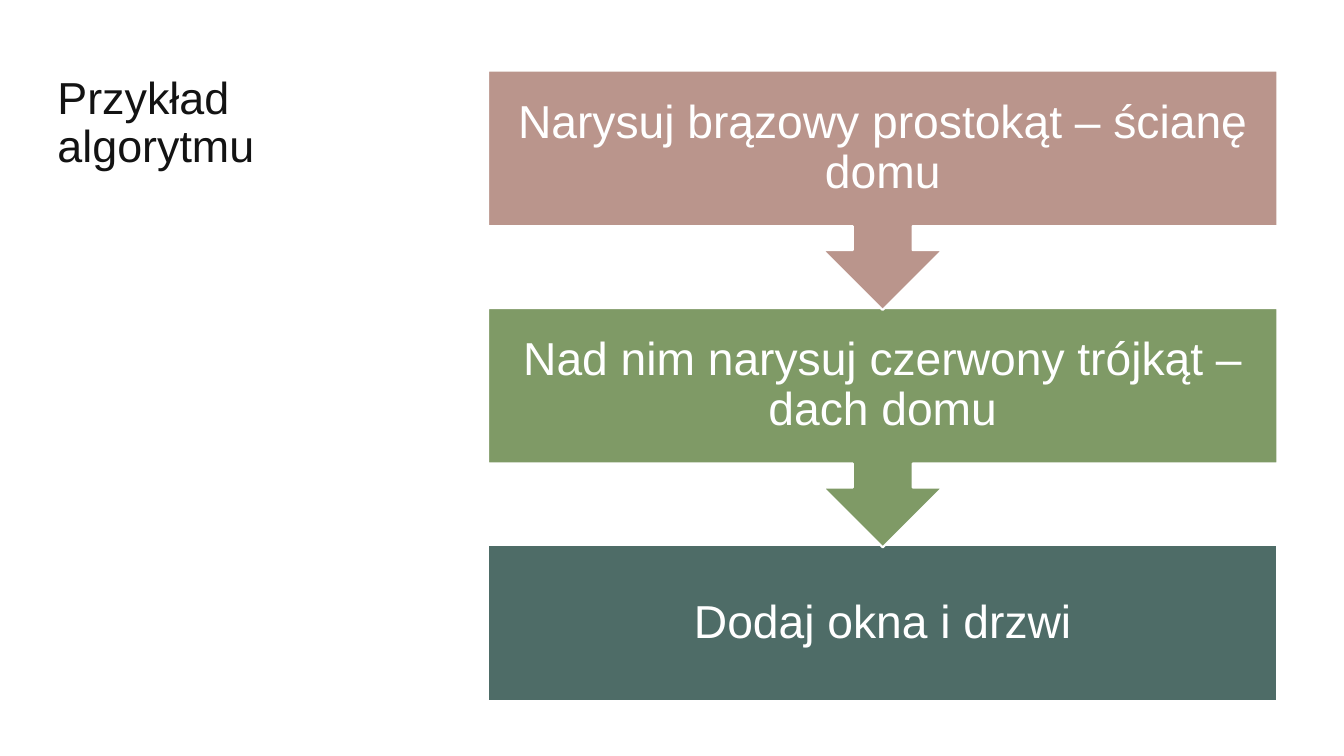
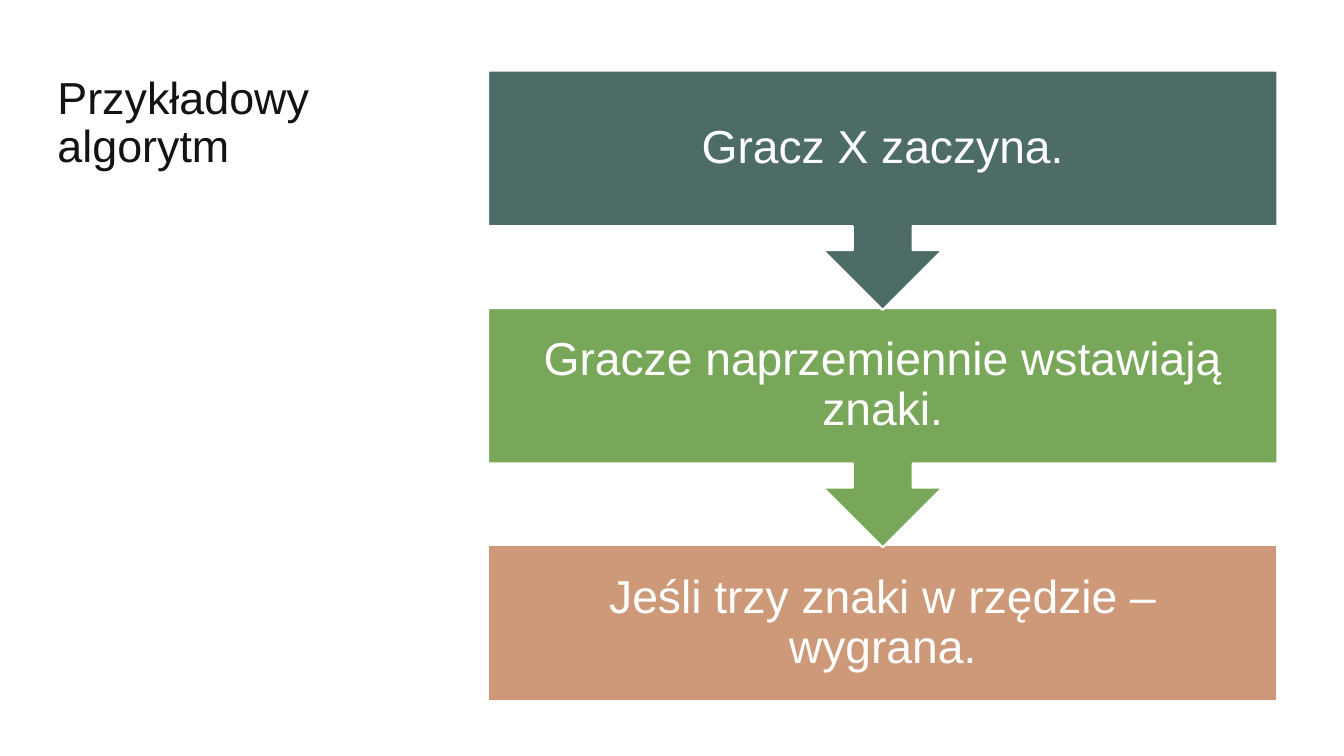
from pptx import Presentation
from pptx.dml.color import RGBColor
from pptx.enum.shapes import MSO_SHAPE
from pptx.enum.text import MSO_ANCHOR, MSO_AUTO_SIZE, PP_ALIGN
from pptx.util import Inches, Pt

FONT = "Arial"
INK = RGBColor(0x13, 0x13, 0x13)
WHITE = RGBColor(0xFF, 0xFF, 0xFF)
TEAL = RGBColor(0x4E, 0x6C, 0x67)
ROSE = RGBColor(0xBA, 0x95, 0x8C)
SAGE = RGBColor(0x7F, 0x9A, 0x66)
GREEN = RGBColor(0x78, 0xA7, 0x59)
TAN = RGBColor(0xCD, 0x99, 0x79)

TITLE_BOX = (Inches(0.47), Inches(0.7), Inches(3.82), Inches(3.96))
FLOW_BOX = (Inches(4.84), Inches(0.7), Inches(7.83), Inches(6.26))
STEP_HEIGHT = Inches(1.55)
ARROW_OVERLAP = Inches(0.02)
STEP_INSET = Inches(0.26)

ALGORITHMS = [
    ("Przykład algorytmu", [
        ("Narysuj brązowy prostokąt – ścianę domu", ROSE),
        ("Nad nim narysuj czerwony trójkąt – dach domu", SAGE),
        ("Dodaj okna i drzwi", TEAL),
    ]),
    ("Przykładowy algorytm", [
        ("Gracz X zaczyna.", TEAL),
        ("Gracze naprzemiennie wstawiają znaki.", GREEN),
        ("Jeśli trzy znaki w rzędzie – wygrana.", TAN),
    ]),
]


def write(frame, text, size, color, align, anchor):
    frame.text = text
    frame.word_wrap = True
    frame.auto_size = MSO_AUTO_SIZE.NONE
    frame.vertical_anchor = anchor
    paragraph = frame.paragraphs[0]
    paragraph.alignment = align
    paragraph.line_spacing = 0.9
    font = paragraph.runs[0].font
    font.name, font.size, font.color.rgb = FONT, Pt(size), color


def place_title(slide, text, box):
    title = slide.shapes.title
    title.left, title.top, title.width, title.height = box
    write(title.text_frame, text, 32, INK, PP_ALIGN.LEFT, MSO_ANCHOR.TOP)


def add_step(slide, preset, text, color, box):
    step = slide.shapes.add_shape(preset, *box)
    step.shadow.inherit = False
    step.fill.solid()
    step.fill.fore_color.rgb = color
    step.line.color.rgb = WHITE
    step.line.width = Pt(1.5)
    frame = step.text_frame
    frame.margin_left = frame.margin_right = STEP_INSET
    frame.margin_top = frame.margin_bottom = STEP_INSET
    write(frame, text, 33, WHITE, PP_ALIGN.CENTER, MSO_ANCHOR.MIDDLE)


def add_flow(slide, steps, box):
    """Stack the steps from the bottom up, so each arrow tip lies over the next step."""
    left, top, width, height = box
    last = len(steps) - 1
    pitch = (height - STEP_HEIGHT) // last
    for row, (text, color) in reversed(list(enumerate(steps))):
        if row == last:
            preset, step_height = MSO_SHAPE.RECTANGLE, STEP_HEIGHT
        else:
            preset, step_height = MSO_SHAPE.DOWN_ARROW_CALLOUT, pitch + ARROW_OVERLAP
        add_step(slide, preset, text, color, (left, top + row * pitch, width, step_height))


def main():
    deck = Presentation()
    deck.slide_width, deck.slide_height = Inches(13.33), Inches(7.5)
    title_only = deck.slide_layouts.get_by_name("Title Only")
    for heading, steps in ALGORITHMS:
        slide = deck.slides.add_slide(title_only)
        place_title(slide, heading, TITLE_BOX)
        add_flow(slide, steps, FLOW_BOX)
    deck.save("out.pptx")


if __name__ == "__main__":
    main()
